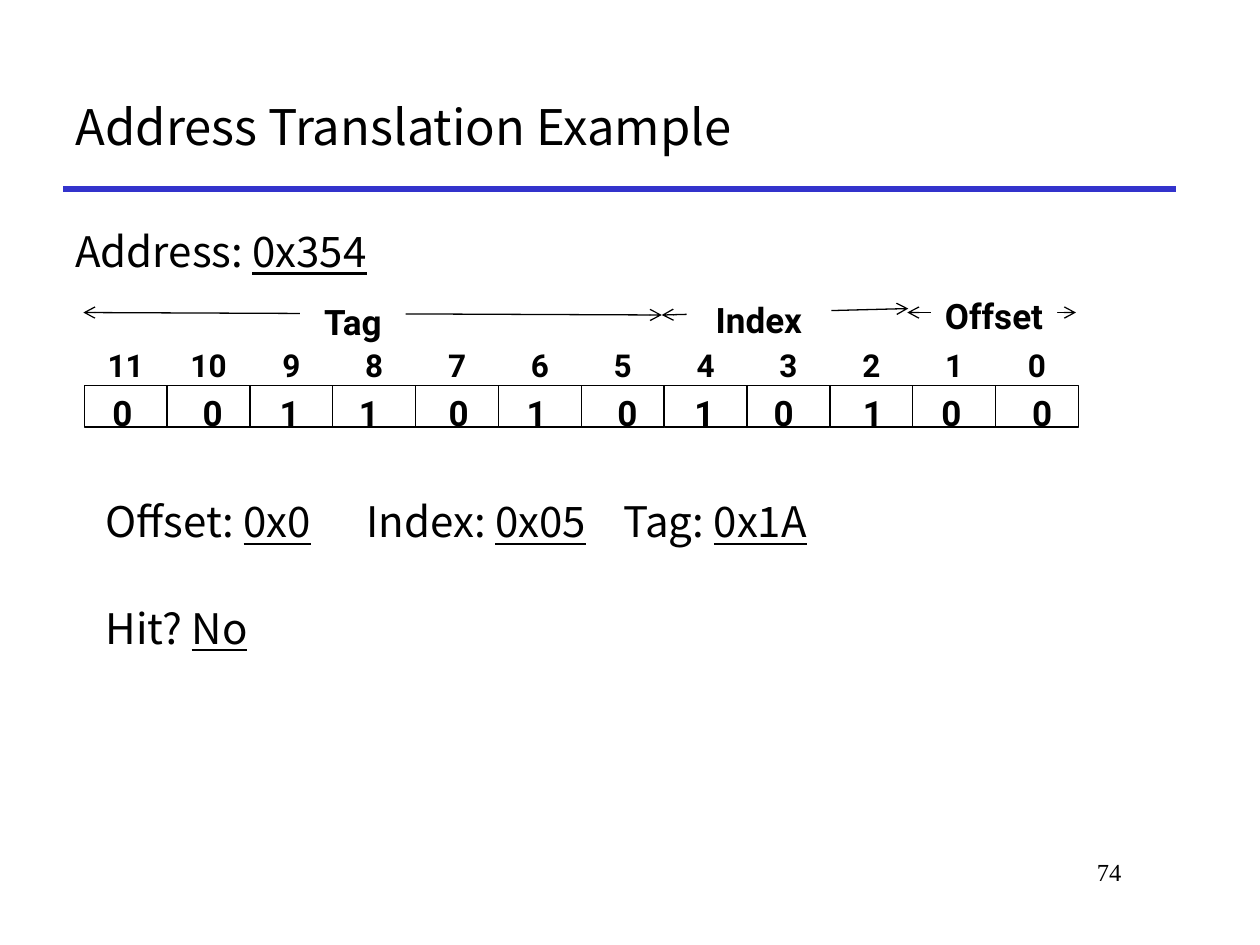
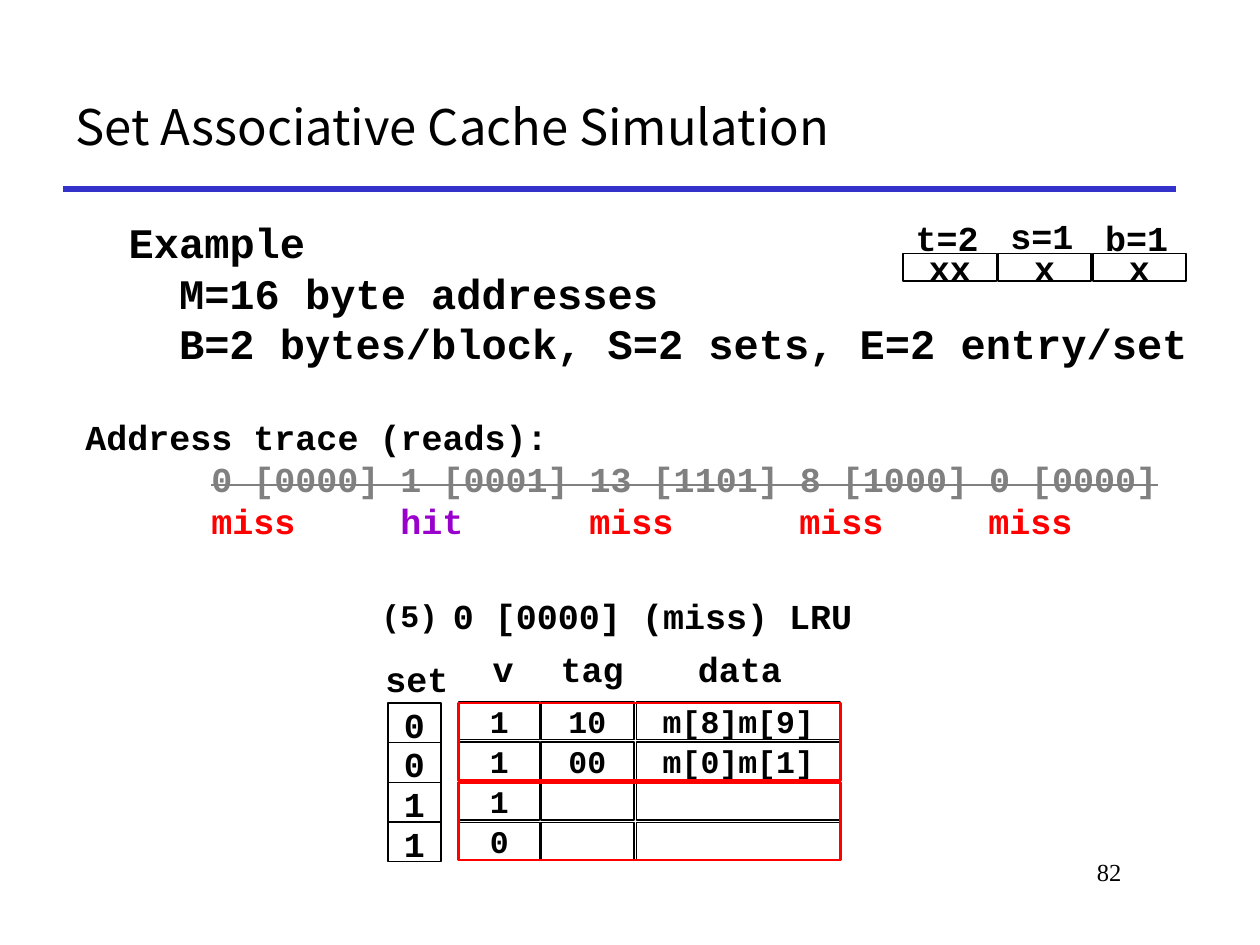
from lxml import etree
from pptx import Presentation
from pptx import util as u
from pptx.dml.color import RGBColor
from pptx.enum import shapes, text
from pptx.oxml import ns

COLORS = {
    "ink": "000000", "paper": "FFFFFF", "rule": "3333CC", "past": "808080",
    "miss": "FF0000", "hit": "9900CC",
}
SANS, BOLD, MONO, SERIF = "Noto Sans CJK KR", "Roboto", "Courier New", "Times New Roman"
LEFT, MID, RIGHT = text.PP_ALIGN.LEFT, text.PP_ALIGN.CENTER, text.PP_ALIGN.RIGHT
TOP, CENTER = text.MSO_ANCHOR.TOP, text.MSO_ANCHOR.MIDDLE


def rgb(name):
    return RGBColor.from_string(COLORS[name])


def style(para, face, size, bold=False, color="ink"):
    font = para.font
    font.name, font.size, font.bold = face, u.Pt(size), bold
    font.color.rgb = rgb(color)


def place(shape, area):
    shape.left, shape.top, shape.width, shape.height = map(u.Cm, area)


def write(shape, words, face, size, bold=False, align=LEFT, anchor=TOP, wrap=False):
    frame = shape.text_frame
    frame.word_wrap = wrap
    frame.auto_size = text.MSO_AUTO_SIZE.NONE
    frame.vertical_anchor = anchor
    frame.text = words
    for para in frame.paragraphs:
        para.alignment = align
        style(para, face, size, bold)
    return frame


def label(slide, area, words, face, size, bold=True, **look):
    box = slide.shapes.add_textbox(*map(u.Cm, area))
    return write(box, words, face, size, bold, **look)


def rect(slide, area, fill=None, line="ink", width=1):
    box = slide.shapes.add_shape(shapes.MSO_SHAPE.RECTANGLE, *map(u.Cm, area))
    box.shadow.inherit = False
    if fill:
        box.fill.solid()
        box.fill.fore_color.rgb = rgb(fill)
    else:
        box.fill.background()
    if line:
        box.line.color.rgb = rgb(line)
        box.line.width = u.Pt(width)
    else:
        box.line.fill.background()
    return box


def line(slide, start, end, color="ink", width=0.75, arrows=False):
    link = slide.shapes.add_connector(
        shapes.MSO_CONNECTOR.STRAIGHT, *map(u.Cm, start + end))
    link.line.color.rgb = rgb(color)
    link.line.width = u.Pt(width)
    if arrows:
        for tag in ("a:headEnd", "a:tailEnd"):
            etree.SubElement(link.line._get_or_add_ln(), ns.qn(tag), type="arrow")
    etree.SubElement(link._element.spPr, ns.qn("a:effectLst"))


def tabs(para, stops):
    group = etree.SubElement(para._p.get_or_add_pPr(), ns.qn("a:tabLst"))
    for stop in stops:
        etree.SubElement(group, ns.qn("a:tab"), pos=str(u.Pt(stop)), algn="l")


def plain(para, indent=0):
    props = para._p.get_or_add_pPr()
    props.set("marL", str(u.Pt(indent)))
    props.set("indent", "0")
    etree.SubElement(props, ns.qn("a:buNone"))
    para.space_before = u.Pt(0)


def pairs(para, items):
    for name, value in items:
        para.add_run().text = name
        run = para.add_run()
        run.text = value
        run.font.underline = True


def start(deck, layout, title, number):
    slide = deck.slides.add_slide(deck.slide_layouts[layout])
    line(slide, (1.27, 3.81), (23.7, 3.81), "rule", 3)
    label(slide, (19.25, 17.15, 3.61, 1.27), number, SERIF, 14, False, align=RIGHT)
    place(slide.shapes.title, (1.27, 1.27, 22.43, 2.54))
    write(slide.shapes.title, title, SANS, 28, anchor=CENTER, wrap=True)
    return slide


def bits(slide):
    digits = "001101010100"
    lefts = (1.91, 3.73, 5.28, 6.88, 8.69, 10.26, 12.09, 13.64, 15.24, 17.04, 18.62, 20.45)
    step = 1.67
    for i, (digit, left) in enumerate(zip(digits, lefts)):
        x = 1.7 + i * step
        rect(slide, (x, 7.77, step, 0.84), width=0.75)
        label(slide, (x, 6.93, step, 0.84), str(11 - i), BOLD, 18, align=MID, anchor=CENTER)
        label(slide, (left, 7.77, 1.12, 1.12), digit, BOLD, 20, align=MID)


def fields(slide):
    spans = (
        ("Offset", (18.29, 6.3), (21.69, 6.3), (18.77, 5.82, 2.54, 1.02)),
        ("Index", (13.34, 6.35), (18.31, 6.22), (13.84, 5.89, 2.92, 1.02)),
        ("Tag", (1.68, 6.3), (13.34, 6.35), (6.05, 5.94, 2.13, 1.02)),
    )
    for name, begin, end, area in spans:
        line(slide, begin, end, arrows=True)
        write(rect(slide, area, "paper", None), name, BOLD, 20, True, MID)


def address(deck):
    slide = start(deck, 5, "Address Translation Example", "74")
    para = label(slide, (1.27, 4.01, 6.4, 1.55), "", SANS, 24, False).paragraphs[0]
    para.line_spacing = 1.4
    pairs(para, [("Address: ", "0x354")])
    bits(slide)
    fields(slide)
    frame = label(slide, (1.88, 9.98, 16, 3.43), "\n", SANS, 24, False)
    parts, hit = frame.paragraphs
    for para in (parts, hit):
        para.line_spacing = 0.9
    hit.space_before = u.Pt(35)
    tabs(parts, (149, 296))
    pairs(parts, [("Offset: ", "0x0"), ("\tIndex: ", "0x05"), ("\tTag: ", "0x1A")])
    pairs(hit, [("Hit? ", "No")])


def trace(slide):
    frame = label(slide, (1.47, 8.26, 23.06, 2.82), "Address trace (reads):\n\n",
                  MONO, 20, wrap=True)
    reads, states = frame.paragraphs[1:]
    stops = (72, 180, 288, 408, 516)
    tabs(reads, stops[:1])
    tabs(states, stops)
    reads.add_run().text = "\t"
    run = reads.add_run()
    run.text = "0 [0000] 1 [0001] 13 [1101] 8 [1000] 0 [0000]"
    run.font.color.rgb = rgb("past")
    run._r.get_or_add_rPr().set("strike", "sngStrike")
    for state in ("miss", "hit", "miss", "miss", "miss"):
        run = states.add_run()
        run.text = "\t" + state
        run.font.color.rgb = rgb(state)


def cache(slide):
    rows = (("1", "10", "m[8]m[9]"), ("1", "00", "m[0]m[1]"), ("1", "", ""), ("0", "", ""))
    cols = ((9.25, 1.63), (10.9, 1.88), (12.83, 4.11))
    for i, row in enumerate(rows):
        for (x, width), value in zip(cols, row):
            cell = rect(slide, (x, 14.15 + i * 0.81, width, 0.76), "paper")
            if value:
                write(cell, value, MONO, 18, True, MID, CENTER)
    heads = (("v", 9.68, 0.94), ("tag", 11.05, 1.8), ("data", 13.82, 2.21))
    for name, x, width in heads:
        label(slide, (x, 12.93, width, 1.09), name, MONO, 20)
    label(slide, (8.88, 11.86, 8.62, 1.09), "0 [0000] (miss) LRU", MONO, 20)
    label(slide, (7.44, 11.89, 1.65, 1.02), "(5)", MONO, 18)
    for y in (14.17, 15.77):
        rect(slide, (9.25, y, 7.7, 1.57), line="miss", width=1.5)


def sets(slide):
    step = 0.8
    rect(slide, (7.82, 14.17, 1.07, 4 * step), width=0.75)
    for i, name in enumerate("0011"):
        y = 14.17 + i * step
        if i:
            line(slide, (7.82, y), (8.89, y))
        label(slide, (7.82, y - 0.12, 1.07, 1.4), name, MONO, 20, align=MID)
    label(slide, (7.52, 13.13, 1.8, 1.12), "set", MONO, 20)


def split(slide):
    for i, (name, value) in enumerate((("t=2", "xx"), ("s=1", "x"), ("b=1", "x"))):
        x = 18.21 + i * 1.91
        box = rect(slide, (x, 5.11, 1.88, 0.56), "paper")
        write(box, value, MONO, 20, True, MID, CENTER)
        label(slide, (x, 4.19 if i == 1 else 4.24, 1.78, 1.09), name, MONO, 20)


def simulate(deck):
    slide = start(deck, 1, "Set Associative Cache Simulation", "82")
    body = slide.placeholders[1]
    place(body, (2.34, 4.24, 22.02, 3.38))
    frame = write(body, "Example\nM=16 byte addresses\n"
                  "B=2 bytes/block, S=2 sets, E=2 entry/set", MONO, 24, True, wrap=True)
    for para, indent in zip(frame.paragraphs, (0, 28.8, 28.8)):
        plain(para, indent)
    trace(slide)
    cache(slide)
    split(slide)
    sets(slide)


def main():
    deck = Presentation()
    deck.slide_width, deck.slide_height = u.Cm(25.4), u.Cm(19.05)
    address(deck)
    simulate(deck)
    deck.save("out.pptx")


if __name__ == "__main__":
    main()
